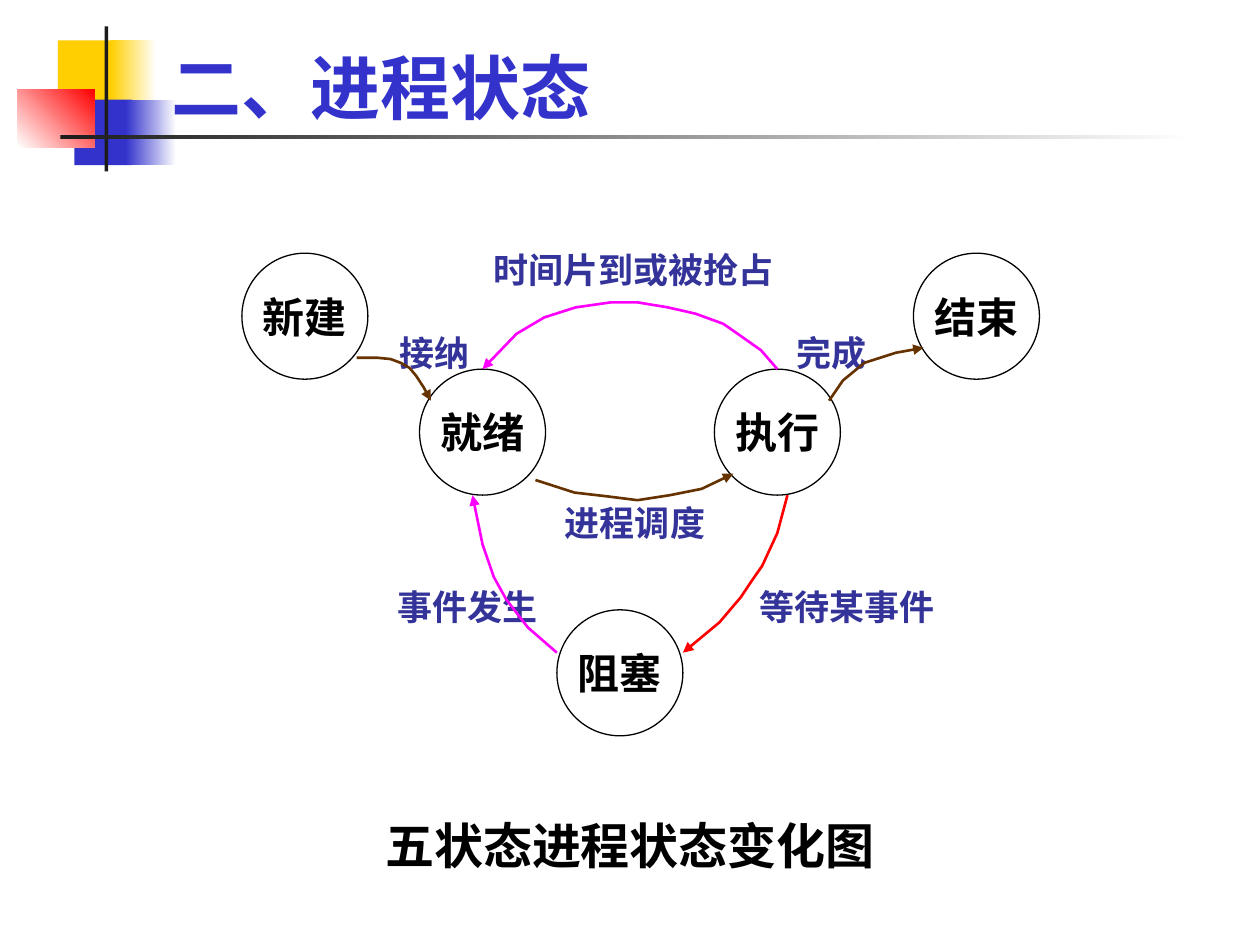
"""Build the five-state process diagram slide."""
from lxml import etree
from pptx import Presentation
from pptx.dml.color import RGBColor
from pptx.enum import shapes, text
from pptx.oxml import ns
from pptx.util import Inches, Pt

CJK, LATIN = "Noto Sans CJK SC", "Times New Roman"
YELLOW, BLUE, RED, WHITE = "FFCF01", "3333CC", "FF0000", "FFFFFF"
BLACK, CHARCOAL, INDIGO = "000000", "1C1C1C", "333399"
BROWN, MAGENTA = "663300", "FF00FF"

DECORATIONS = [
    ((0.46, 0.32, 0.48, 0.52), [YELLOW], 0),
    ((0.88, 0.32, 0.36, 0.52), [YELLOW, WHITE], 0),
    ((0.59, 0.79, 0.46, 0.52), [BLUE], 0),
    ((1, 0.79, 0.4, 0.52), [BLUE, WHITE], 0),
    ((0.14, 0.71, 0.61, 0.46), [WHITE, RED], 45),
    ((0.83, 0.21, 0.03, 1.15), [CHARCOAL], 0),
    ((0.48, 1.07, 9, 0.03), [CHARCOAL, WHITE], 0),
]
TITLE = ("二、进程状态", (1.26, 0.05, 8.52, 1.02))
CAPTION = ("五状态进程状态变化图", (2.96, 6.42, 4.56, 0.57))
STATE_SIZE = 1
STATES = [
    ("新建", 1.92, 2.01),
    ("结束", 7.25, 2.01),
    ("就绪", 3.33, 2.93),
    ("执行", 5.67, 2.93),
    ("阻塞", 4.42, 4.84),
]
LABEL_WIDTH, LABEL_HEIGHT = 2.6, 0.42
LABELS = [
    ("时间片到或被抢占", 5.03, 2.14),
    ("接纳", 3.45, 2.8),
    ("完成", 6.6, 2.8),
    ("进程调度", 5.04, 4.15),
    ("事件发生", 3.71, 4.81),
    ("等待某事件", 6.72, 4.81),
]
TRANSITIONS = [
    (BROWN, [(2.83, 2.84), (2.92, 2.84), (3, 2.84), (3.1, 2.85), (3.18, 2.88),
             (3.25, 2.92), (3.3, 2.98), (3.36, 3.07), (3.42, 3.18)]),
    (MAGENTA, [(4.42, 5.18), (4.19, 4.98), (4.02, 4.76), (3.92, 4.58),
               (3.83, 4.32), (3.75, 3.93)]),
    (RED, [(6.25, 3.93), (6.17, 4.23), (6.05, 4.49), (5.96, 4.62),
           (5.88, 4.74), (5.71, 4.94), (5.42, 5.18)]),
    (BROWN, [(4.25, 3.81), (4.56, 3.91), (4.82, 3.94), (5.06, 3.97),
             (5.32, 3.93), (5.57, 3.88), (5.82, 3.76)]),
    (BROWN, [(6.58, 3.18), (6.69, 3.02), (6.86, 2.88), (7.11, 2.8),
             (7.33, 2.76)]),
    (MAGENTA, [(6.17, 2.93), (6.04, 2.78), (5.87, 2.66), (5.74, 2.57),
               (5.52, 2.49), (5.3, 2.44), (5.06, 2.4), (4.85, 2.4),
               (4.57, 2.44), (4.32, 2.52), (4.1, 2.65), (3.83, 2.93)]),
]


def color(value):
    return RGBColor.from_string(value)


def write(shape, words, size, ink, font=LATIN, align=text.PP_ALIGN.CENTER,
          anchor=text.MSO_ANCHOR.MIDDLE, wrap=False):
    frame = shape.text_frame
    frame.word_wrap = wrap
    frame.vertical_anchor = anchor
    paragraph = frame.paragraphs[0]
    paragraph.alignment = align
    run = paragraph.add_run()
    run.text = words
    run.font.name = font
    run.font.size = Pt(size)
    run.font.bold = True
    run.font.color.rgb = color(ink)
    east_asian = etree.SubElement(run.font._element, ns.qn("a:ea"))
    east_asian.set("typeface", CJK)


def add_shape(slide, kind, box):
    shape = slide.shapes.add_shape(kind, *map(Inches, box))
    shape.shadow.inherit = False
    return shape


def add_text(slide, words, box, size, ink, **style):
    write(slide.shapes.add_textbox(*map(Inches, box)), words, size, ink, **style)


def add_decoration(slide, box, colors, angle):
    shape = add_shape(slide, shapes.MSO_SHAPE.RECTANGLE, box)
    shape.line.fill.background()
    if len(colors) == 1:
        shape.fill.solid()
        shape.fill.fore_color.rgb = color(colors[0])
        return
    shape.fill.gradient()
    shape.fill.gradient_angle = angle
    for stop, value in zip(shape.fill.gradient_stops, colors):
        stop.color.rgb = color(value)


def add_state(slide, name, left, top):
    shape = add_shape(slide, shapes.MSO_SHAPE.OVAL,
                      (left, top, STATE_SIZE, STATE_SIZE))
    shape.fill.background()
    shape.line.color.rgb = color(BLACK)
    shape.line.width = Pt(0.75)
    write(shape, name, 24, BLACK)


def add_transition(slide, ink, points):
    start, *rest = [(Inches(x), Inches(y)) for x, y in points]
    builder = slide.shapes.build_freeform(*start)
    builder.add_line_segments(rest, close=False)
    shape = builder.convert_to_shape()
    shape.shadow.inherit = False
    shape.fill.background()
    shape.line.color.rgb = color(ink)
    shape.line.width = Pt(1.5)
    arrowhead = etree.SubElement(shape.line._get_or_add_ln(), ns.qn("a:tailEnd"))
    arrowhead.set("type", "triangle")


def main():
    presentation = Presentation()
    presentation.slide_width, presentation.slide_height = Inches(10), Inches(7.5)
    slide = presentation.slides.add_slide(presentation.slide_layouts[6])
    for decoration in DECORATIONS:
        add_decoration(slide, *decoration)
    add_text(slide, *CAPTION, 28, BLACK, font=CJK, align=text.PP_ALIGN.LEFT,
             anchor=text.MSO_ANCHOR.TOP, wrap=True)
    for words, x, y in LABELS:
        box = (x - LABEL_WIDTH / 2, y - LABEL_HEIGHT / 2, LABEL_WIDTH, LABEL_HEIGHT)
        add_text(slide, words, box, 20, INDIGO, wrap=True)
    for state in STATES:
        add_state(slide, *state)
    for transition in TRANSITIONS:
        add_transition(slide, *transition)
    add_text(slide, *TITLE, 40, BLUE, font=CJK, align=text.PP_ALIGN.LEFT,
             anchor=text.MSO_ANCHOR.BOTTOM, wrap=True)
    presentation.save("out.pptx")


if __name__ == "__main__":
    main()
